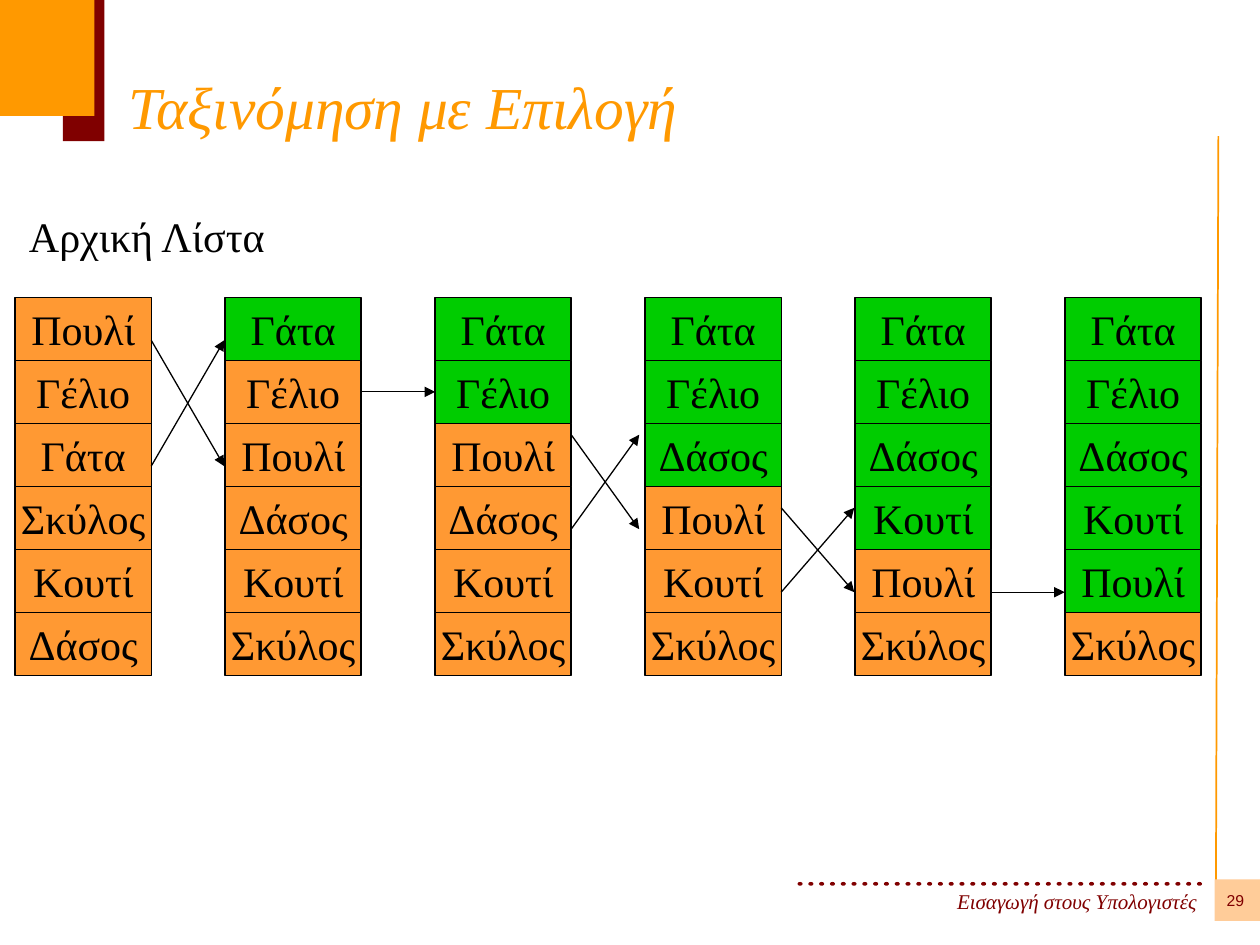
from lxml import etree
from pptx import Presentation
from pptx.dml.color import RGBColor
from pptx.enum.shapes import MSO_CONNECTOR, MSO_SHAPE
from pptx.enum.text import MSO_ANCHOR, MSO_AUTO_SIZE, PP_ALIGN
from pptx.oxml.ns import qn
from pptx.util import Inches, Pt

RECT, OVAL = MSO_SHAPE.RECTANGLE, MSO_SHAPE.OVAL
STRAIGHT = MSO_CONNECTOR.STRAIGHT
LEFT, CENTER, RIGHT = PP_ALIGN.LEFT, PP_ALIGN.CENTER, PP_ALIGN.RIGHT
TOP, MIDDLE, BOTTOM = MSO_ANCHOR.TOP, MSO_ANCHOR.MIDDLE, MSO_ANCHOR.BOTTOM
NO_AUTOFIT = MSO_AUTO_SIZE.NONE

ORANGE = RGBColor(0xFF, 0x99, 0x00)
MAROON = RGBColor(0x80, 0x00, 0x00)
PEACH = RGBColor(0xFF, 0xCC, 0x99)
UNSORTED = RGBColor(0xFF, 0x99, 0x33)
SORTED = RGBColor(0x00, 0xCC, 0x00)
BLACK = RGBColor(0x00, 0x00, 0x00)
SERIF, SANS = "Times New Roman", "Arial"

# Each list shows one pass; its index is the number of sorted items.
PASSES = [
    ["Πουλί", "Γέλιο", "Γάτα", "Σκύλος", "Κουτί", "Δάσος"],
    ["Γάτα", "Γέλιο", "Πουλί", "Δάσος", "Κουτί", "Σκύλος"],
    ["Γάτα", "Γέλιο", "Πουλί", "Δάσος", "Κουτί", "Σκύλος"],
    ["Γάτα", "Γέλιο", "Δάσος", "Πουλί", "Κουτί", "Σκύλος"],
    ["Γάτα", "Γέλιο", "Δάσος", "Κουτί", "Πουλί", "Σκύλος"],
    ["Γάτα", "Γέλιο", "Δάσος", "Κουτί", "Πουλί", "Σκύλος"],
]
# Pass on the left, upper and lower end of the crossing arrows, their width
SWAPS = [(0, 2.7, 3.7, 0.58), (2, 3.45, 4.2, 0.54), (3, 4.03, 4.7, 0.58)]
PITCH, CELL_W, CELL_H = 5 / 3, 1.08, 0.5


def add_box(slide, kind, x, y, w, h, fill, line=None):
    sp = slide.shapes.add_shape(kind, Inches(x), Inches(y), Inches(w), Inches(h))
    sp.shadow.inherit = False
    sp.fill.solid()
    sp.fill.fore_color.rgb = fill
    if line is None:
        sp.line.fill.background()
    else:
        sp.line.color.rgb = line
        sp.line.width = Pt(0.75)
    return sp


def write(sp, text, size, color, font=SERIF, italic=False, align=CENTER,
          anchor=MIDDLE, wrap=False, insets=(0.1, 0.05)):
    tf = sp.text_frame
    tf.auto_size = NO_AUTOFIT
    tf.word_wrap = wrap
    tf.vertical_anchor = anchor
    tf.margin_left = tf.margin_right = Inches(insets[0])
    tf.margin_top = tf.margin_bottom = Inches(insets[1])
    p = tf.paragraphs[0]
    p.alignment = align
    r = p.add_run()
    r.text = text
    r.font.name = font
    r.font.size = Pt(size)
    r.font.italic = italic
    r.font.color.rgb = color


def add_text(slide, x, y, w, h, text, size, color, **style):
    tb = slide.shapes.add_textbox(Inches(x), Inches(y), Inches(w), Inches(h))
    write(tb, text, size, color, **style)


def add_line(slide, x1, y1, x2, y2, color=BLACK, width=0.75, arrow=True):
    line = slide.shapes.add_connector(
        STRAIGHT, Inches(x1), Inches(y1), Inches(x2), Inches(y2))
    line.line.color.rgb = color
    line.line.width = Pt(width)
    if arrow:
        etree.SubElement(line.line._get_or_add_ln(), qn("a:tailEnd"), type="triangle")
    etree.SubElement(line._element.spPr, qn("a:effectLst"))
    return line


def add_frame(slide):
    """Rule on the right and blocks in the top left corner."""
    add_line(slide, 9.65, 7.14, 9.67, 1.08, ORANGE, 1, arrow=False)
    add_box(slide, RECT, 0.5, 0, 0.33, 1.12, MAROON)
    add_box(slide, RECT, 0, 0, 0.75, 0.92, ORANGE)


def add_footer(slide, left, top, right, dots=38):
    step = (right - left) / (dots - 1)
    for i in range(dots):
        add_box(slide, OVAL, left + i * step, top, 0.04, 0.03, MAROON)
    add_text(slide, 0.75, top, right - 0.75, 0.3, "Εισαγωγή στους Υπολογιστές", 12,
             MAROON, italic=True, align=RIGHT, anchor=TOP, wrap=True, insets=(0, 0.05))
    add_box(slide, RECT, 9.64, top - 0.02, 0.36, 0.33, PEACH)
    add_text(slide, 9.65, top - 0.02, 0.31, 0.33, "29", 9, MAROON,
             font=SANS, insets=(0, 0))


def add_title(slide, x, y, w, h):
    title = slide.shapes.title
    title.left, title.top = Inches(x), Inches(y)
    title.width, title.height = Inches(w), Inches(h)
    write(title, "Ταξινόμηση με Επιλογή", 34, ORANGE, italic=True,
          align=LEFT, anchor=BOTTOM, wrap=True)


def add_list(slide, x, y, words, sorted_count):
    cells = []
    for row, word in enumerate(words):
        fill = SORTED if row < sorted_count else UNSORTED
        cell = add_box(slide, RECT, x, y + row * CELL_H, CELL_W, CELL_H, fill, BLACK)
        write(cell, word, 24, BLACK)
        cells.append(cell)
    return cells


def add_passes(slide, left, top):
    lists = [add_list(slide, left + i * PITCH, top, words, i)
             for i, words in enumerate(PASSES)]
    for i, upper, lower, width in SWAPS:
        x = left + i * PITCH + CELL_W
        add_line(slide, x, upper, x + width, lower)
        add_line(slide, x, lower, x + width, upper)
    stay = add_line(slide, 2.87, 3.11, 3.45, 3.11)
    stay.begin_connect(lists[1][1], 3)
    stay.end_connect(lists[2][1], 1)
    add_line(slide, 7.87, 4.7, 8.45, 4.7)


def main():
    prs = Presentation()
    prs.slide_width, prs.slide_height = Inches(10), Inches(7.5)
    slide = prs.slides.add_slide(prs.slide_layouts[5])
    add_frame(slide)
    add_footer(slide, 6.33, 7, 9.5)
    add_title(slide, 0.92, 0.5, 8.58, 0.67)
    add_text(slide, 0.12, 1.62, 2.09, 0.5, "Αρχική Λίστα", 24, BLACK, anchor=TOP)
    add_passes(slide, 0.12, 2.36)
    prs.save("out.pptx")


if __name__ == "__main__":
    main()
